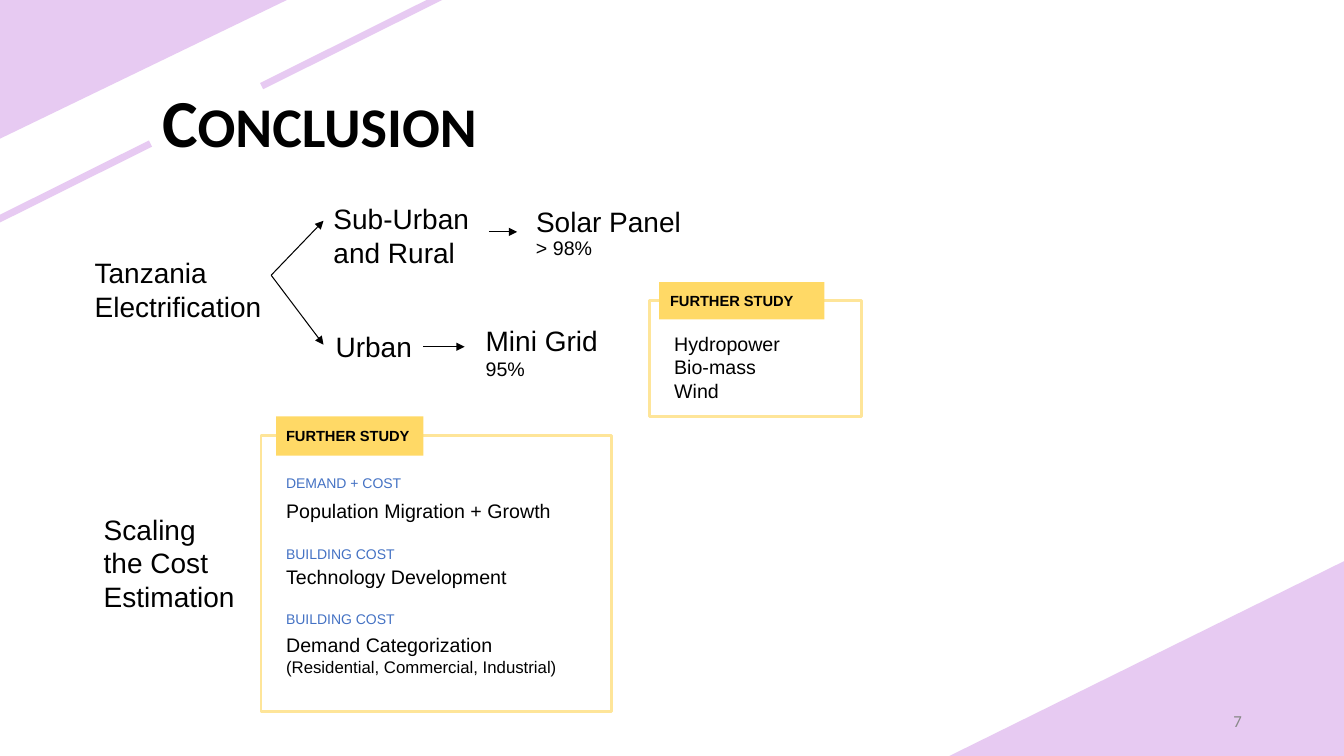
from lxml.etree import SubElement
from pptx import Presentation
from pptx.dml.color import RGBColor
from pptx.enum.shapes import MSO_CONNECTOR, MSO_SHAPE
from pptx.enum.text import MSO_ANCHOR, PP_ALIGN
from pptx.oxml.ns import qn
from pptx.util import Pt

LILAC = RGBColor(0xE7, 0xCA, 0xF2)
GOLD = RGBColor(0xFF, 0xD9, 0x66)
SAND = RGBColor(0xFE, 0xE5, 0x99)
BLUE = RGBColor(0x44, 0x72, 0xC4)
GRAY = RGBColor(0x88, 0x88, 0x88)
BLACK = RGBColor(0, 0, 0)

# Content: all lengths in points
CORNERS = [  # box, rotation
    ((678.2, 400.3, 283, 139.7), 0),
    ((-3.6, -3.6, 216, 104.4), 180),
]
STRIPES = [(-30.2, 132.5), (179.3, 26.6)]
TITLE = [("C", 48), ("ONCLUSION", 40)]
NODES = [  # left, top, width, text
    (60.5, 179.3, 148, "Tanzania\nElectrification"),
    (231.1, 140.4, 118, "Sub-Urban\nand Rural"),
    (232.6, 231.8, 70, "Urban"),
    (375.8, 142.6, 182, "Solar Panel"),
    (339.8, 227.5, 115, "Mini Grid"),
    (67, 362.2, 109.4, "Scaling the Cost Estimation"),
]
SHARES = [(375.8, 164.9, 55, "> 98%"), (339.8, 251.3, 43, "95%")]
FORK = (193.7, 196.6)
ARROWS = [  # from, to
    (FORK, (231.1, 157.7)),
    (FORK, (231.1, 246.2)),
    ((349.2, 165.6), (369.4, 165.6)),
    ((302.4, 247.7), (331.9, 247.7)),
]
PANELS = [  # frame, tab, left edge of the tab label
    ((463.7, 214.6, 151.9, 82.8), (470.9, 201.6, 118.1, 26.6), 471.6),
    ((186.5, 311, 250.6, 197.3), (197.3, 297.4, 105.1, 28.1), 197.3),
]
SOURCES = "Hydropower\nBio-mass\nWind"
TOPICS = [  # heading, its top, topic, its top
    ("DEMAND + COST", 335.5, "Population Migration + Growth", 352.8),
    ("BUILDING COST", 385.9, "Technology Development", 399.6),
    ("BUILDING COST", 432.7,
     "Demand Categorization\n(Residential, Commercial, Industrial)", 448.6),
]
TOPIC_X, TOPIC_W = 197.3, 270

deck = Presentation()
deck.slide_width, deck.slide_height = Pt(960), Pt(540)
slide = deck.slides.add_slide(deck.slide_layouts[6])
shapes = slide.shapes


def add_block(kind, box, fill=None, line=None, turn=0):
    block = shapes.add_shape(kind, *map(Pt, box))
    block.shadow.inherit = False
    block.rotation = turn
    if fill:
        block.fill.solid()
        block.fill.fore_color.rgb = fill
    else:
        block.fill.background()
    if line:
        block.line.color.rgb = line
        block.line.width = Pt(2)
    else:
        block.line.fill.background()
    return block


def style(run, size, color=BLACK, bold=False, face="Arial"):
    font = run.font
    font.name, font.size, font.bold = face, Pt(size), bold
    font.color.rgb = color


def add_text(left, top, width, text, size, color=BLACK, bold=False,
             face="Arial"):
    lines = text.count("\n") + 1
    height = lines * size * 1.2 + 7.2
    box = shapes.add_textbox(Pt(left), Pt(top), Pt(width), Pt(height))
    frame = box.text_frame
    frame.word_wrap = True
    frame.text = text
    for para in frame.paragraphs:
        for run in para.runs:
            style(run, size, color, bold, face)
    return box


def add_arrow(start, end):
    arrow = shapes.add_connector(
        MSO_CONNECTOR.STRAIGHT, *map(Pt, start + end))
    arrow.line.color.rgb = BLACK
    arrow.line.width = Pt(0.75)
    SubElement(arrow.line._get_or_add_ln(), qn("a:tailEnd"), type="triangle")
    SubElement(arrow.element.spPr, qn("a:effectLst"))


# Corner triangles and stripes
for box, turn in CORNERS:
    corner = add_block(MSO_SHAPE.RIGHT_TRIANGLE, box, LILAC, turn=turn)
    corner.element.spPr.find(qn("a:xfrm")).set("flipH", "1")
for left, top in STRIPES:
    add_block(MSO_SHAPE.RECTANGLE, (left, top, 145.4, 5), LILAC, turn=333.5)

# Title and page number
title = add_text(108.7, 54, 493, "", 48)
for part, size in TITLE:
    run = title.text_frame.paragraphs[0].add_run()
    run.text = part
    style(run, size, bold=True, face="Calibri")
page = add_text(678.2, 500.4, 216, "7", 12, GRAY, face="Calibri")
page.height = Pt(28.8)
page.text_frame.vertical_anchor = MSO_ANCHOR.MIDDLE
page.text_frame.paragraphs[0].alignment = PP_ALIGN.RIGHT

# Decision tree
for node in NODES:
    add_text(*node, 20)
for share in SHARES:
    add_text(*share, 14)
for start, end in ARROWS:
    add_arrow(start, end)

# Further study panels
for frame, tab, left in PANELS:
    add_block(MSO_SHAPE.RECTANGLE, frame, line=SAND)
    add_block(MSO_SHAPE.RECTANGLE, tab, GOLD)
    add_text(left, tab[1] + 3.6, 130, "FURTHER STUDY", 10.5, bold=True)
add_text(474.5, 233.3, 144, SOURCES, 14)
for head, head_top, topic, top in TOPICS:
    add_text(TOPIC_X, head_top, TOPIC_W, head, 10, BLUE)
    box = add_text(TOPIC_X, top, TOPIC_W, topic, 14)
    for para in box.text_frame.paragraphs[1:]:
        para.runs[0].font.size = Pt(12)

deck.save("out.pptx")
